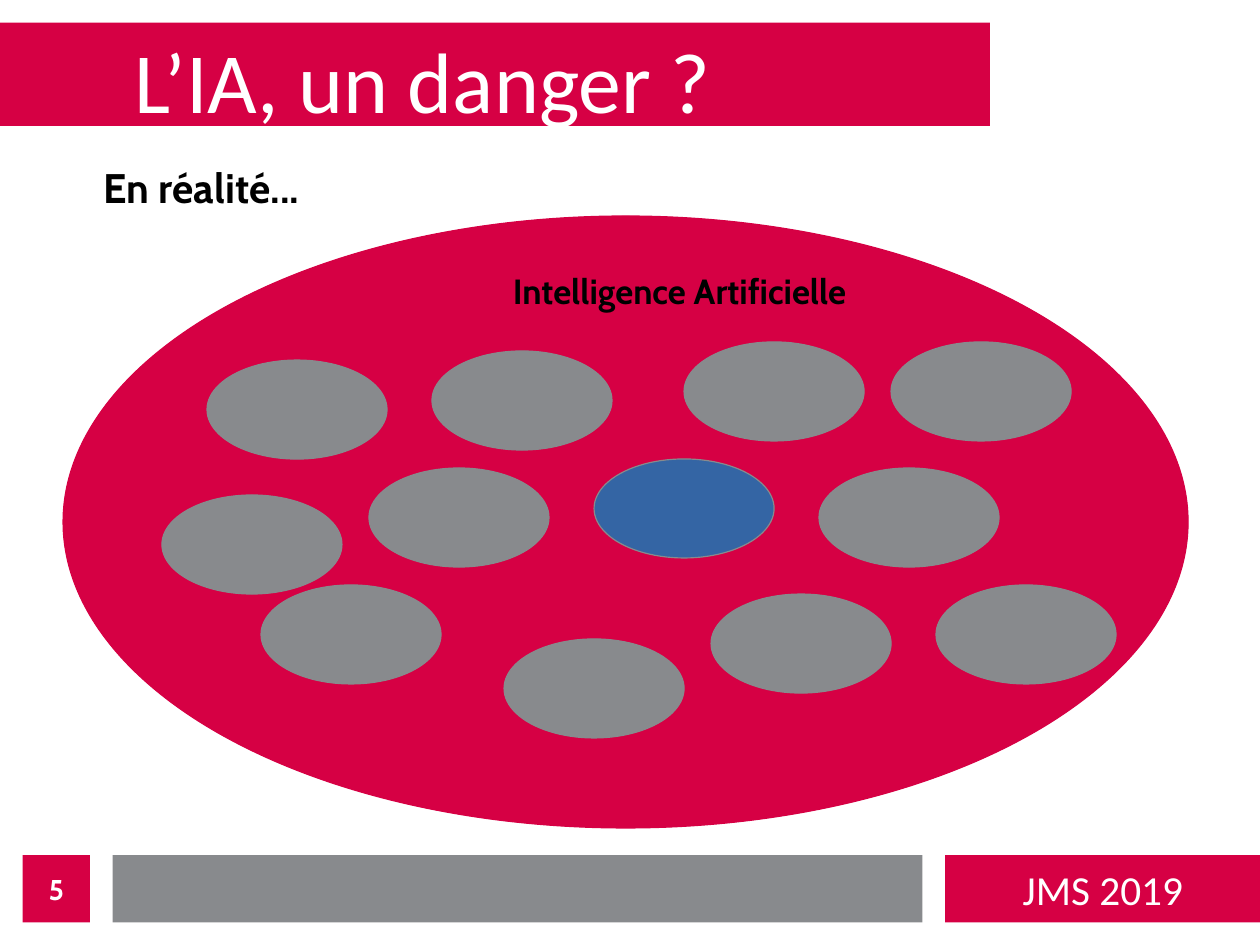
import pptx
import pptx.dml.color
import pptx.enum.shapes
import pptx.enum.text
import pptx.util

Pt = pptx.util.Pt
SHAPE = pptx.enum.shapes.MSO_SHAPE
ALIGN = pptx.enum.text.PP_ALIGN
ANCHOR = pptx.enum.text.MSO_ANCHOR

RED, GREY, BLUE, WHITE, BLACK = "D60044", "888A8D", "3465A4", "FFFFFF", "000000"


def color(hex_string):
    return pptx.dml.color.RGBColor.from_string(hex_string)


class SlideBuilder:
    heading_font = "Calibri"
    text_font = "Cabin"

    def __init__(self, slide):
        self.slide = slide

    def shape(self, kind, box, fill, line=None):
        shape = self.slide.shapes.add_shape(kind, *map(Pt, box))
        shape.shadow.inherit = False
        shape.fill.solid()
        shape.fill.fore_color.rgb = color(fill)
        if line:
            shape.line.color.rgb = color(line)
            shape.line.width = Pt(0)
        else:
            shape.line.fill.background()
        return shape

    def text(self, shape, text, size, font, ink, bold=False,
             align=ALIGN.CENTER, anchor=ANCHOR.MIDDLE):
        frame = shape.text_frame
        frame.word_wrap = True
        frame.auto_size = pptx.enum.text.MSO_AUTO_SIZE.NONE
        frame.vertical_anchor = anchor
        frame.margin_left = frame.margin_right = 0
        frame.margin_top = frame.margin_bottom = 0
        paragraph = frame.paragraphs[0]
        paragraph.alignment = align
        paragraph.space_before = Pt(0)
        run = paragraph.add_run()
        run.text = text
        run.font.size = Pt(size)
        run.font.name = font
        run.font.bold = bold
        run.font.color.rgb = color(ink)
        return paragraph

    def text_box(self, box, *style, **options):
        shape = self.slide.shapes.add_textbox(*map(Pt, box))
        return self.text(shape, *style, **options)

    def placeholder(self, index, box, *style, **options):
        shape = self.slide.placeholders[index]
        shape.left, shape.top, shape.width, shape.height = map(Pt, box)
        # Bring the placeholder in front of the bars drawn so far
        shape.element.getparent().append(shape.element)
        return self.text(shape, *style, align=ALIGN.LEFT, **options)

    def unbulleted(self, paragraph, indent):
        properties = paragraph._p.get_or_add_pPr()
        properties.set("marL", str(Pt(indent)))
        properties.set("indent", "0")
        properties.append(pptx.oxml.parse_xml(
            '<a:buNone xmlns:a="http://schemas.openxmlformats.org/drawingml/2006/main"/>'))


def main():
    presentation = pptx.Presentation()
    presentation.slide_width = Pt(793.7)
    presentation.slide_height = Pt(595.3)
    builder = SlideBuilder(presentation.slides.add_slide(presentation.slide_layouts[1]))

    # Title bar and footer bars
    footer_top, footer_height = 538.6, 42.5
    builder.shape(SHAPE.RECTANGLE, (0, 14.2, 623.6, 65.2), RED)
    builder.shape(SHAPE.RECTANGLE, (595.3, footer_top, 198.4, footer_height), RED)
    builder.shape(SHAPE.RECTANGLE, (70.9, footer_top, 510.2, footer_height), GREY)
    builder.text_box((607, footer_top, 175.7, footer_height),
                     "JMS 2019", 26, builder.heading_font, WHITE)

    # Title and lead-in
    builder.placeholder(0, (85, 14.2, 504.7, 70.9),
                        "L’IA, un danger ?", 54, builder.heading_font, WHITE)
    lead_in = builder.placeholder(1, (48.2, 102, 722.8, 419.5), "En réalité...", 26,
                                  builder.text_font, BLACK, bold=True, anchor=ANCHOR.TOP)
    lead_in.space_after = Pt(11.4)
    builder.unbulleted(lead_in, 17)

    # The whole field of artificial intelligence
    builder.shape(SHAPE.OVAL, (39.7, 136.1, 708.7, 385.5), RED, RED)
    builder.text_box((249.4, 154.1, 357.2, 58.3), "Intelligence Artificielle", 22,
                     builder.text_font, BLACK, bold=True)

    # Its subfields, with one singled out
    subfields = [
        (130.4, 226.8), (272.1, 221.1), (430.9, 215.4), (102, 311.8),
        (232.4, 294.8), (561.3, 215.4), (164.4, 368.5), (317.5, 402.5),
        (447.9, 374.2), (515.9, 294.8), (589.6, 368.5),
    ]
    highlighted = (374.2, 289.1)
    for left, top in subfields + [highlighted]:
        fill = BLUE if (left, top) == highlighted else GREY
        builder.shape(SHAPE.OVAL, (left, top, 113.4, 62.4), fill, GREY)

    # Page number
    page = builder.shape(SHAPE.RECTANGLE, (14.2, footer_top, 42.5, footer_height), RED)
    builder.text(page, "5", 18, builder.text_font, WHITE, bold=True)

    presentation.save("out.pptx")


if __name__ == "__main__":
    main()
